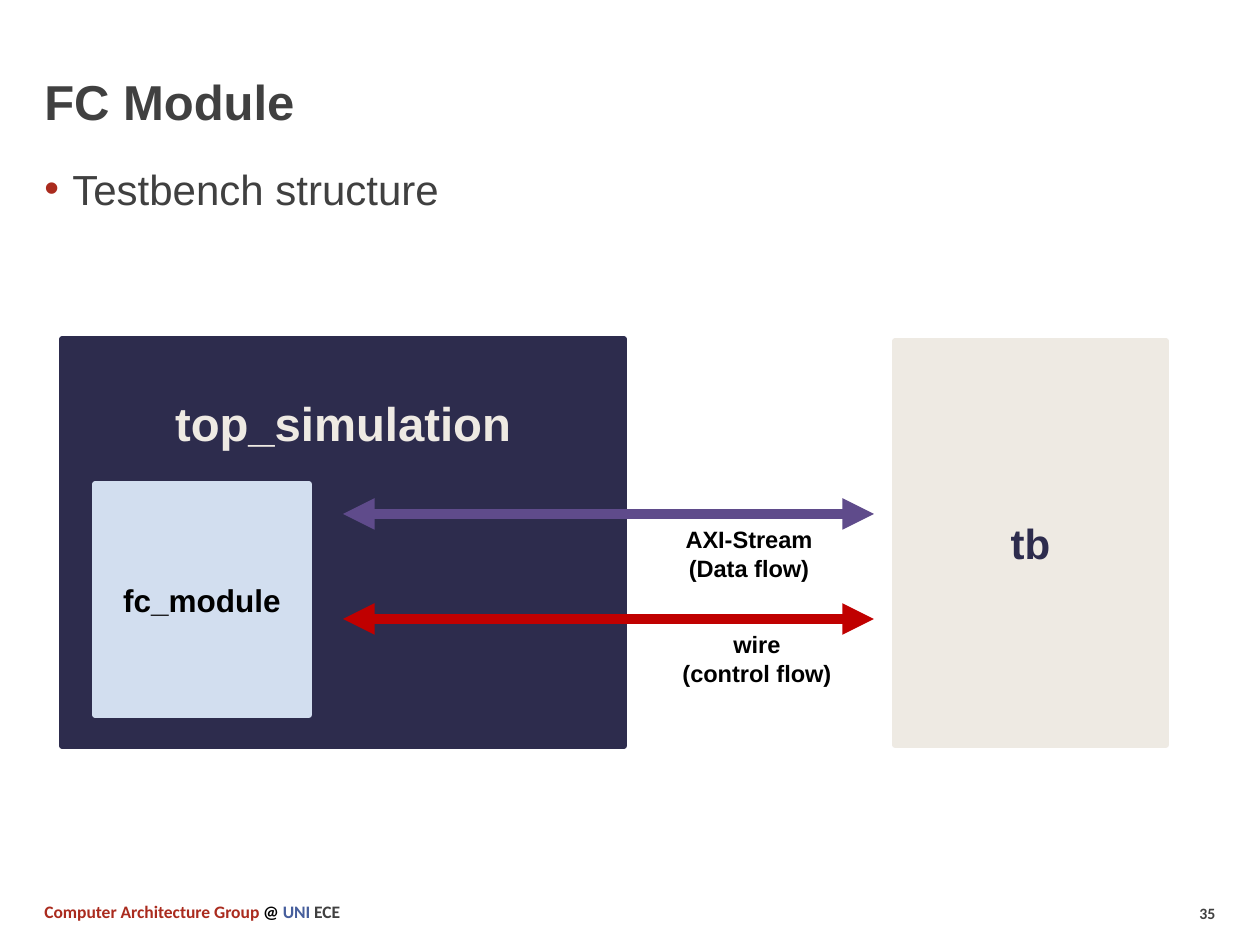
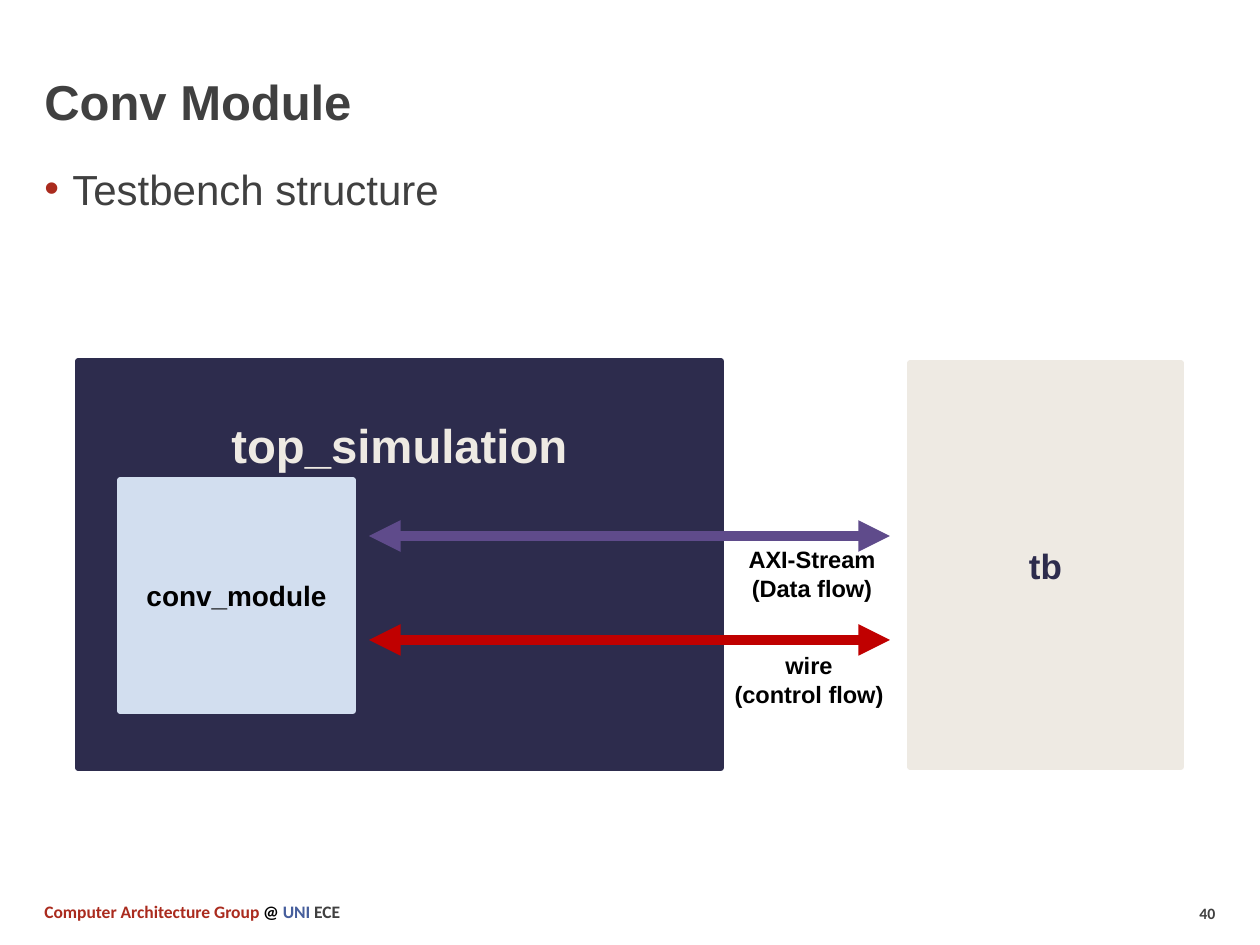
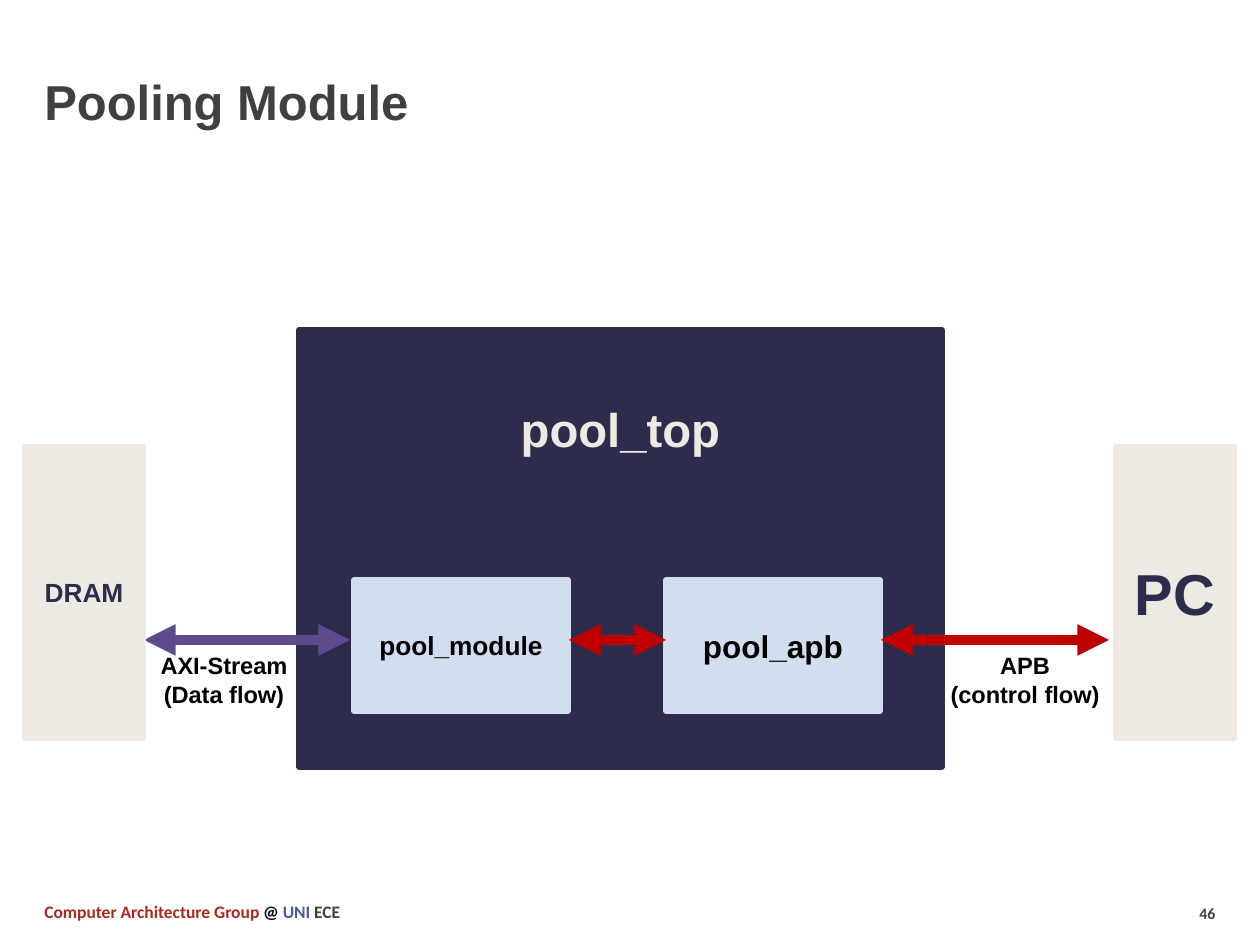
from lxml import etree
from pptx import Presentation
from pptx.dml.color import RGBColor
from pptx.enum.shapes import MSO_CONNECTOR, MSO_SHAPE
from pptx.enum.text import MSO_ANCHOR, PP_ALIGN
from pptx.oxml.ns import qn
from pptx.util import Emu, Pt

PX_PER_INCH = 126
EMU_PER_INCH = 914400

NAVY = RGBColor(0x2D, 0x2C, 0x4D)
SAND = RGBColor(0xEE, 0xEA, 0xE3)
PALE_BLUE = RGBColor(0xD2, 0xDE, 0xEF)
PURPLE = RGBColor(0x5F, 0x4B, 0x8B)
RED = RGBColor(0xC0, 0x00, 0x00)
BRICK = RGBColor(0xAA, 0x2B, 0x1E)
BLUE = RGBColor(0x46, 0x5E, 0x9C)
GRAY = RGBColor(0x40, 0x40, 0x40)
BLACK = RGBColor(0x00, 0x00, 0x00)

RECTANGLE = MSO_SHAPE.RECTANGLE
STRAIGHT = MSO_CONNECTOR.STRAIGHT
TOP, MIDDLE, BOTTOM = MSO_ANCHOR.TOP, MSO_ANCHOR.MIDDLE, MSO_ANCHOR.BOTTOM
LEFT, CENTER = PP_ALIGN.LEFT, PP_ALIGN.CENTER

HEADING_BLOCK = 296  # height of a container's heading with the room below it
LABEL_HEIGHT = 71
FOOTER = [("Computer Architecture Group ", BRICK), ("@ ", BLACK),
          ("UNI ", BLUE), ("ECE", GRAY)]


def px(length):
    return Emu(round(length * EMU_PER_INCH / PX_PER_INCH))


def add_run(paragraph, text, size, color, bold=True, font="Arial"):
    run = paragraph.add_run()
    run.text = text
    run.font.name = font
    run.font.size = Pt(size)
    run.font.bold = bold
    run.font.color.rgb = color


def add_text_box(slide, left, top, width, height, anchor=TOP, wrap=True):
    """Add an empty text box and return its first paragraph."""
    frame = slide.shapes.add_textbox(*map(px, (left, top, width, height))).text_frame
    frame.word_wrap = wrap
    frame.vertical_anchor = anchor
    return frame.paragraphs[0]


def add_block(slide, bounds, name, size, fill, color):
    """Add a filled rectangle with a centred name and return its text frame."""
    block = slide.shapes.add_shape(RECTANGLE, *map(px, bounds))
    block.shadow.inherit = False
    block.fill.solid()
    block.fill.fore_color.rgb = fill
    block.line.color.rgb = fill
    block.line.width = Pt(3)
    frame = block.text_frame
    frame.word_wrap = True
    frame.vertical_anchor = MIDDLE
    frame.paragraphs[0].alignment = CENTER
    add_run(frame.paragraphs[0], name, size, color)
    return frame


def add_container(slide, bounds, name):
    """Add a block whose heading stays above the modules inside it."""
    frame = add_block(slide, bounds, name, 27, NAVY, SAND)
    frame.vertical_anchor = TOP
    frame.margin_top = px((bounds[3] - HEADING_BLOCK) / 2)


def add_module(slide, bounds, name, size):
    add_block(slide, bounds, name, size, PALE_BLUE, BLACK)


def add_endpoint(slide, bounds, name, size):
    add_block(slide, bounds, name, size, SAND, NAVY)


def add_flow(slide, start, end, y, color):
    """Draw a horizontal double-headed arrow."""
    arrow = slide.shapes.add_connector(STRAIGHT, px(start), px(y), px(end), px(y))
    arrow.line.color.rgb = color
    arrow.line.width = Pt(6)
    outline = arrow.line._get_or_add_ln()
    for end_tag in ("a:headEnd", "a:tailEnd"):
        etree.SubElement(outline, qn(end_tag), type="triangle")
    etree.SubElement(arrow._element.spPr, qn("a:effectLst"))


def add_flow_label(slide, left, top, width, protocol, purpose):
    paragraph = add_text_box(slide, left, top, width, LABEL_HEIGHT, wrap=False)
    paragraph.alignment = CENTER
    add_run(paragraph, protocol, 13.5, BLACK)
    paragraph.add_line_break()
    add_run(paragraph, f"({purpose})", 13.5, BLACK)


def add_bullet(slide, text):
    paragraph = add_text_box(slide, 32, 157, 1197, 102)
    paragraph.alignment = LEFT
    paragraph.space_before = Pt(4.5)
    properties = paragraph._p.get_or_add_pPr()
    properties.set("marL", str(px(28)))
    properties.set("indent", str(px(-28)))
    bullet_color = etree.SubElement(properties, qn("a:buClr"))
    etree.SubElement(bullet_color, qn("a:srgbClr"), val=str(BRICK))
    etree.SubElement(properties, qn("a:buFont"), typeface="Arial")
    etree.SubElement(properties, qn("a:buChar"), char="•")
    add_run(paragraph, text, 24, GRAY, bold=False)


def new_slide(deck, title, number):
    """Add a slide with its title, footer and page number."""
    slide = deck.slides.add_slide(deck.slide_layouts[6])
    page = add_text_box(slide, 1187, 898, 84, 32, wrap=False)
    add_run(page, str(number), 9, GRAY, font="Calibri")
    footer = add_text_box(slide, 32, 895, 635, 34)
    for text, color in FOOTER:
        add_run(footer, text, 10, color, font="Calibri")
    add_run(add_text_box(slide, 32, 21, 1166, 116, BOTTOM), title, 28, GRAY)
    return slide


def add_testbench(slide, container, module, module_name, module_size,
                  flow_span, flow_tops, labels, bench, bench_size):
    add_bullet(slide, "Testbench structure")
    add_container(slide, container, "top_simulation")
    add_module(slide, module, module_name, module_size)
    for y, color in zip(flow_tops, (PURPLE, RED)):
        add_flow(slide, *flow_span, y, color)
    data_label, control_label = labels
    add_flow_label(slide, *data_label, "AXI-Stream", "Data flow")
    add_flow_label(slide, *control_label, "wire", "control flow")
    add_endpoint(slide, bench, "tb", bench_size)


def add_pooling(slide):
    flow_y, label_y = 640, 645
    add_container(slide, (299, 330, 643, 437), "pool_top")
    for left, name, size in ((354, "pool_module", 15), (666, "pool_apb", 18)):
        add_module(slide, (left, 580, 214, 131), name, size)
    for start, end, color in ((569, 666, RED), (144, 350, PURPLE), (881, 1109, RED)):
        add_flow(slide, start, end, flow_y, color)
    add_flow_label(slide, 137, label_y, 174, "AXI-Stream", "Data flow")
    add_flow_label(slide, 934, label_y, 182, "APB", "control flow")
    for left, name, size in ((1116, "PC", 33), (25, "DRAM", 15)):
        add_endpoint(slide, (left, 447, 118, 291), name, size)


def main():
    deck = Presentation()
    deck.slide_width, deck.slide_height = px(1260), px(945)

    add_testbench(
        new_slide(deck, "FC Module", 35),
        container=(62, 339, 562, 407),
        module=(95, 484, 214, 231), module_name="fc_module", module_size=18,
        flow_span=(343, 874), flow_tops=(514, 619),
        labels=((662, 519, 174), (662, 624, 190)),
        bench=(895, 341, 271, 404), bench_size=24)

    add_testbench(
        new_slide(deck, "Conv Module", 40),
        container=(78, 361, 643, 407),
        module=(120, 480, 233, 231), module_name="conv_module", module_size=16,
        flow_span=(369, 890), flow_tops=(536, 640),
        labels=((725, 539, 174), (722, 645, 174)),
        bench=(910, 363, 271, 404), bench_size=20)

    add_pooling(new_slide(deck, "Pooling Module", 46))

    deck.save("out.pptx")


if __name__ == "__main__":
    main()
